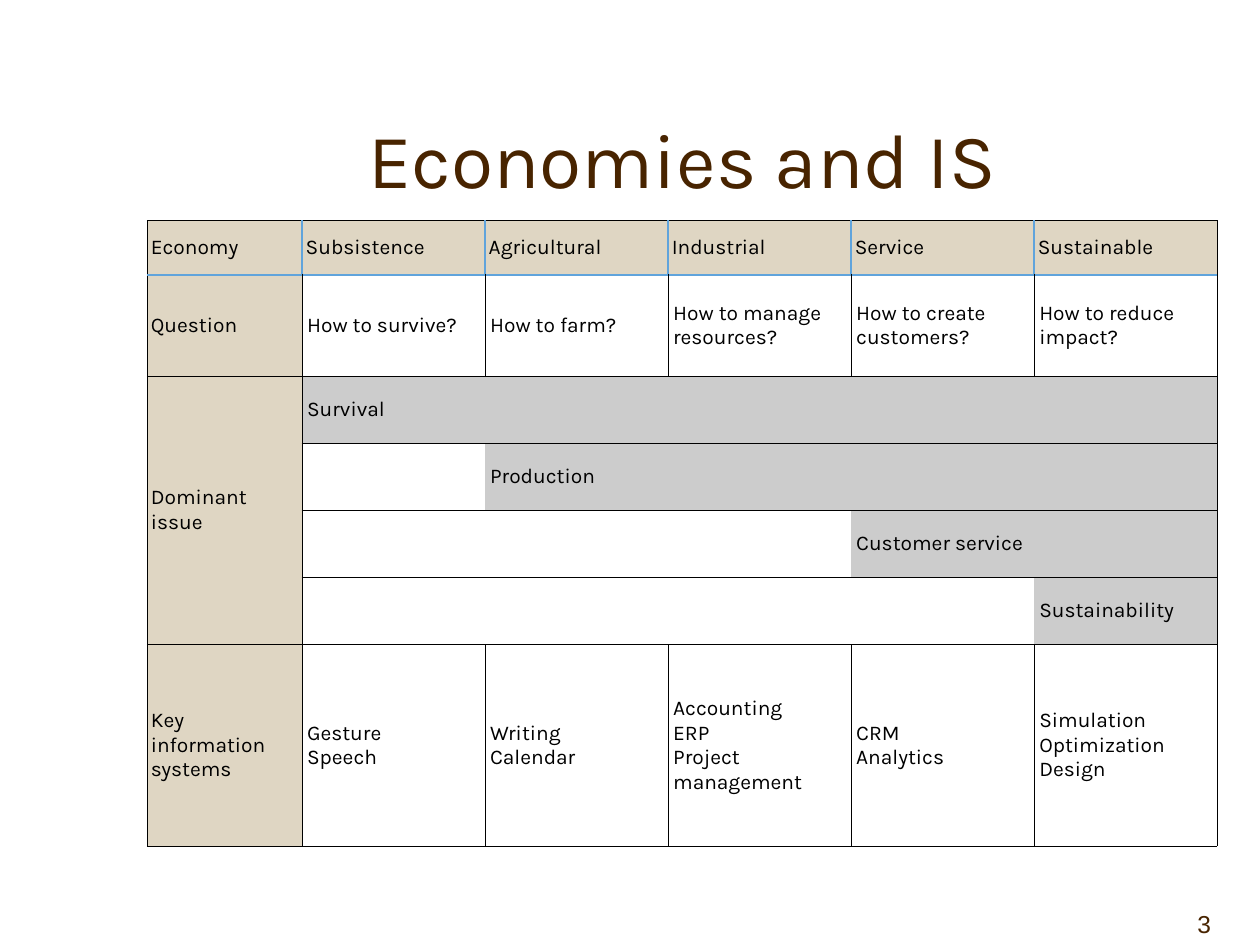
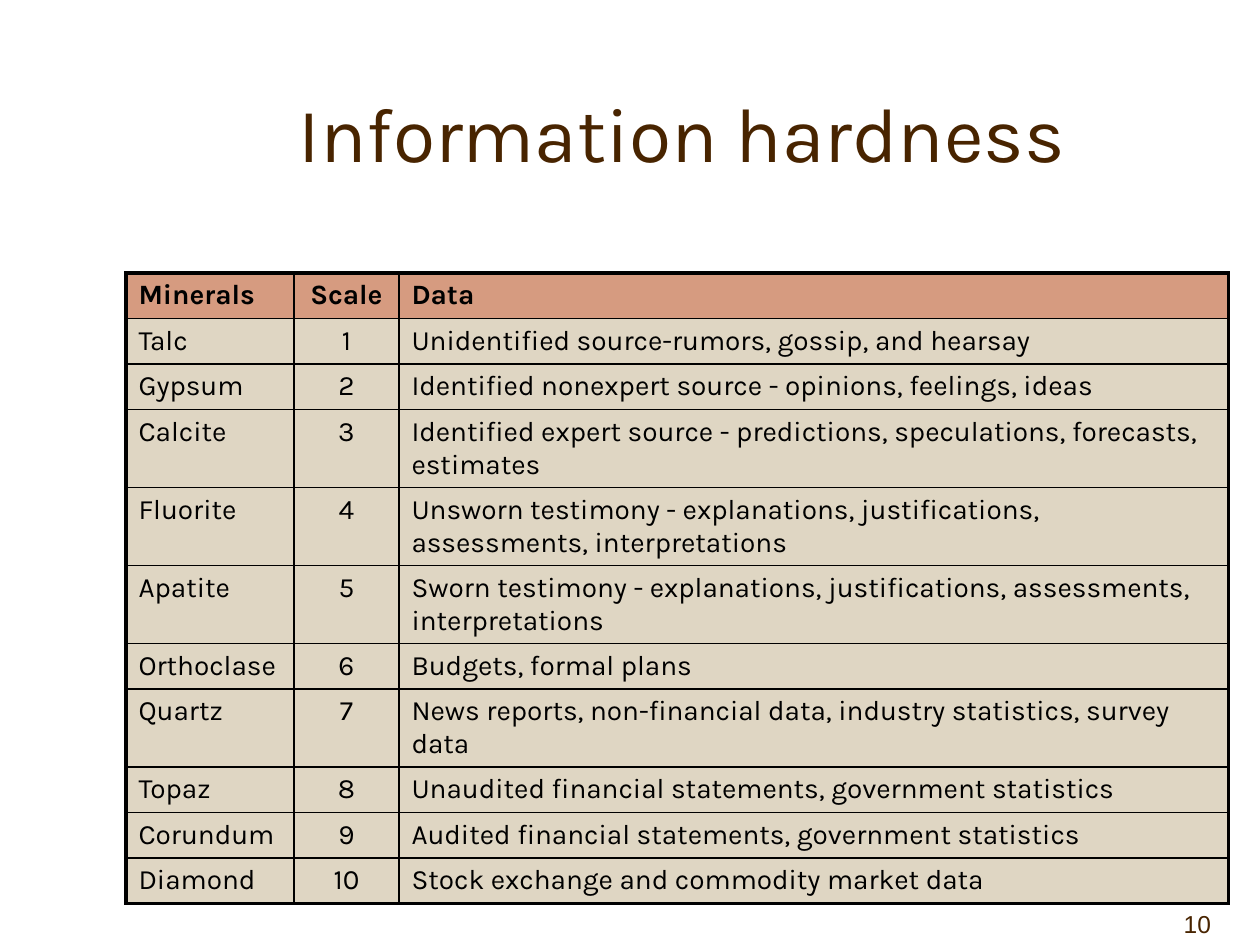
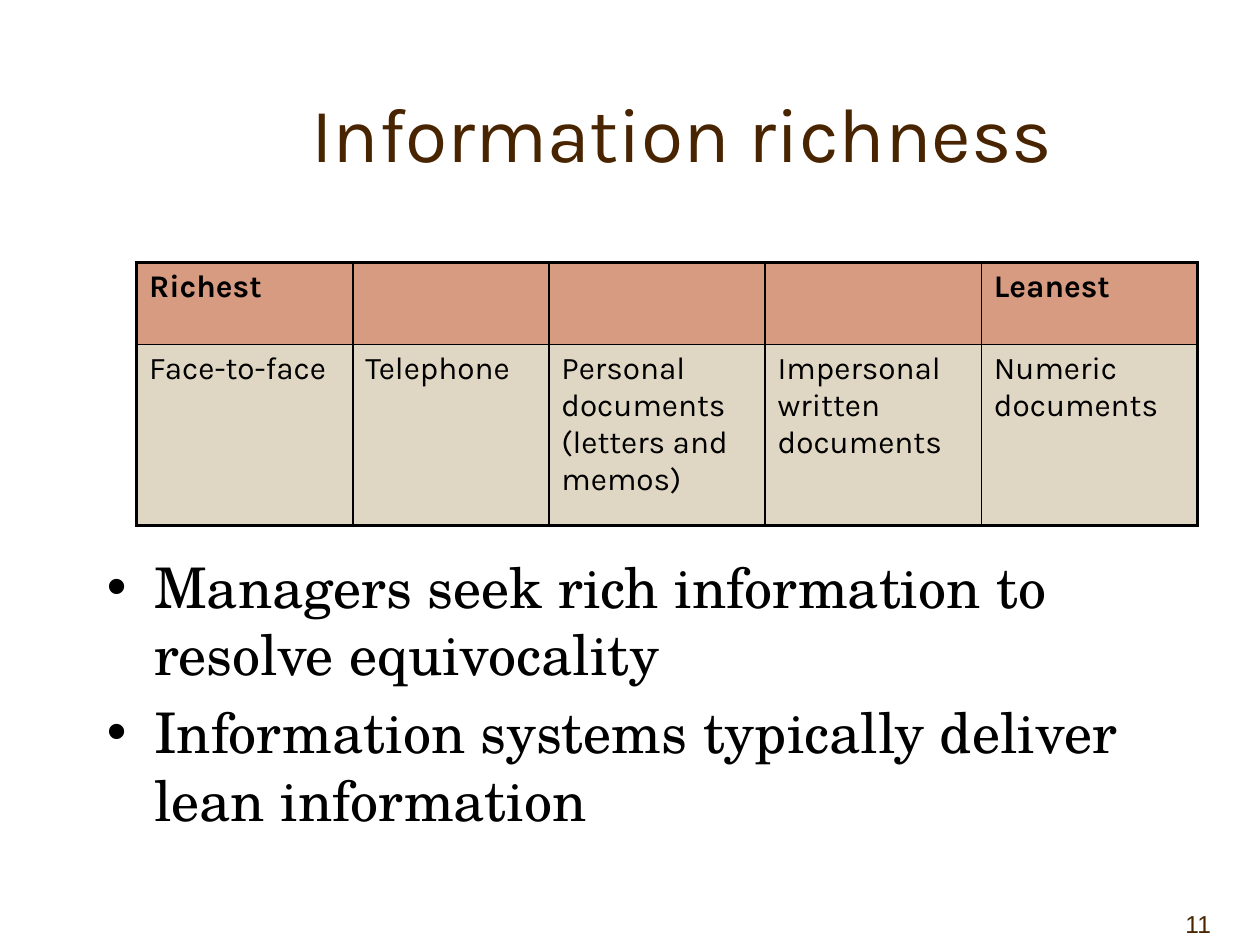
import pptx
import pptx.dml.color
import pptx.enum.text
import pptx.oxml
import pptx.oxml.ns
import pptx.util

Pt = pptx.util.Pt
RGBColor = pptx.dml.color.RGBColor
ALIGN = pptx.enum.text.PP_ALIGN
ANCHOR = pptx.enum.text.MSO_ANCHOR

BROWN = RGBColor(0x48, 0x24, 0x00)
BLACK = RGBColor(0, 0, 0)
WHITE = RGBColor(255, 255, 255)
SAND = RGBColor(0xDF, 0xD6, 0xC3)
CLAY = RGBColor(0xD6, 0x9B, 0x80)
GREY = RGBColor(0xCC, 0xCC, 0xCC)
BLUE = RGBColor(0x60, 0xA4, 0xDC)

TABLE_FONT = "Karla"
BODY_FONT = "TeX Gyre Schola"
NUMBER_FONT = BULLET_FONT = "Arial"

# Borders are (colour, width in points)
HAIRLINE = (BLACK, 0.25)
THIN = (BLACK, 1)
THICK = (BLACK, 2.25)
BLUE_LINE = (BLUE, 1)

ECONOMIES = [
    ["Economy", "Subsistence", "Agricultural", "Industrial", "Service", "Sustainable"],
    ["Question", "How to survive?", "How to farm?", "How to manage resources?",
     "How to create customers?", "How to reduce impact?"],
    ["Dominant issue", "Survival", "", "", "", ""],
    ["", "", "Production", "", "", ""],
    ["", "", "", "", "Customer service", ""],
    ["", "", "", "", "", "Sustainability"],
    ["Key information systems", "Gesture\nSpeech", "Writing\nCalendar",
     "Accounting\nERP\nProject management", "CRM\nAnalytics",
     "Simulation\nOptimization\nDesign"],
]
ISSUE_STARTS = {2: 1, 3: 2, 4: 4, 5: 5}  # row: first column of its grey bar

HARDNESS = [
    ["Minerals", "Scale", "Data"],
    ["Talc", "1", "Unidentified source-rumors, gossip, and hearsay"],
    ["Gypsum", "2", "Identified nonexpert source - opinions, feelings, ideas"],
    ["Calcite", "3", "Identified expert source - predictions, speculations, forecasts, estimates"],
    ["Fluorite", "4",
     "Unsworn testimony - explanations, justifications, assessments, interpretations"],
    ["Apatite", "5",
     "Sworn testimony - explanations, justifications, assessments, interpretations"],
    ["Orthoclase", "6", "Budgets, formal plans"],
    ["Quartz", "7", "News reports, non-financial data, industry statistics, survey data"],
    ["Topaz", "8", "Unaudited financial statements, government statistics"],
    ["Corundum", "9", "Audited financial statements, government statistics"],
    ["Diamond", "10", "Stock exchange and commodity market data"],
]
TWO_LINE_MINERALS = {"Calcite", "Fluorite", "Apatite", "Quartz"}

RICHNESS = [
    ["Richest", "", "", "", "Leanest"],
    ["Face-to-face", "Telephone", "Personal documents (letters and memos)",
     "Impersonal written documents", "Numeric documents"],
]
RICHNESS_POINTS = [
    "Managers seek rich information to resolve equivocality",
    "Information systems typically deliver lean information",
]


def format_text(frame, font, size, color=BLACK, bold=False, align=ALIGN.LEFT):
    for para in frame.paragraphs:
        para.alignment = align
        for span in para.runs:
            span.font.name = font
            span.font.size = Pt(size)
            span.font.bold = bold
            span.font.color.rgb = color


def add_page(deck, title, number, anchor=ANCHOR.MIDDLE):
    """Add a slide with its title and slide number."""
    page = deck.slides.add_slide(deck.slide_layouts[5])
    heading = page.shapes.title
    heading.left, heading.top, heading.width, heading.height = Pt(84), Pt(30), Pt(612), Pt(90)
    frame = heading.text_frame
    frame.text = title
    frame.auto_size = pptx.enum.text.MSO_AUTO_SIZE.NONE
    frame.vertical_anchor = anchor
    format_text(frame, TABLE_FONT, 44, BROWN, align=ALIGN.CENTER)

    frame = page.shapes.add_textbox(Pt(648), Pt(504), Pt(72), Pt(36)).text_frame
    frame.word_wrap = True
    frame.margin_right = Pt(28)
    frame.vertical_anchor = ANCHOR.BOTTOM
    frame.text = str(number)
    format_text(frame, NUMBER_FONT, 14, BROWN, align=ALIGN.RIGHT)
    return page


def add_grid(page, left, top, widths, heights):
    """Add a plain table with the given column widths and row heights."""
    frame = page.shapes.add_table(len(heights), len(widths), Pt(left), Pt(top),
                                  Pt(sum(widths)), Pt(sum(heights)))
    table = frame.table
    table.first_row = table.horz_banding = False
    for column, width in zip(table.columns, widths):
        column.width = Pt(width)
    for row, height in zip(table.rows, heights):
        row.height = Pt(height)
    return table


def fill_cell(cell, text, color, size, bold=False, align=ALIGN.LEFT):
    cell.text_frame.text = text
    format_text(cell.text_frame, TABLE_FONT, size, bold=bold, align=align)
    cell.fill.solid()
    cell.fill.fore_color.rgb = color


def set_borders(cell, left, right, top, bottom):
    """Draw the four edges of a cell; None hides an edge."""
    properties = cell._tc.get_or_add_tcPr()
    namespace = pptx.oxml.ns.nsdecls("a")
    for position, (side, border) in enumerate(zip("LRTB", (left, right, top, bottom))):
        if border:
            color, width = border
            paint = f'<a:solidFill><a:srgbClr val="{color}"/></a:solidFill>'
        else:
            width, paint = 0, "<a:noFill/>"
        line = pptx.oxml.parse_xml(
            f'<a:ln{side} {namespace} w="{int(Pt(width))}">{paint}</a:ln{side}>')
        properties.insert(position, line)


def add_economies_table(page):
    table = add_grid(page, 84, 126, [88.5] + [104.6] * 5, [31.2, 57.8] + [38.3] * 4 + [115.4])
    last = len(ECONOMIES[0]) - 1
    for r, row in enumerate(ECONOMIES):
        for c, text in enumerate(row):
            cell = table.cell(r, c)
            is_label = r == 0 or c == 0
            in_bar = c >= ISSUE_STARTS.get(r, last + 1)
            fill_cell(cell, text, SAND if is_label else GREY if in_bar else WHITE, 12)
            cell.vertical_anchor = ANCHOR.MIDDLE
            margin = Pt(2.2 if is_label else 3)
            cell.margin_left = cell.margin_right = margin
            cell.margin_top = cell.margin_bottom = margin

            if r == 0:
                inner = BLUE_LINE
            elif r in ISSUE_STARTS:
                inner = None
            else:
                inner = HAIRLINE
            beside_label = r > 0 and c <= 1
            # A merged bar takes its right edge from its first cell
            ends_right = c == last or in_bar or (r > 0 and c == 0)
            set_borders(cell,
                        HAIRLINE if c == 0 or beside_label else inner,
                        HAIRLINE if ends_right else inner,
                        BLUE_LINE if r == 1 else HAIRLINE,
                        BLUE_LINE if r == 0 else HAIRLINE)
    table.cell(2, 0).merge(table.cell(5, 0))
    for r, start in ISSUE_STARTS.items():
        if start < last:
            table.cell(r, start).merge(table.cell(r, last))


def add_framed_table(page, left, top, widths, heights, rows, size, centered=()):
    """Add a table with a clay header, sand body and thick outer frame."""
    table = add_grid(page, left, top, widths, heights)
    for r, row in enumerate(rows):
        for c, text in enumerate(row):
            cell = table.cell(r, c)
            fill_cell(cell, text, SAND if r else CLAY, size, bold=r == 0,
                      align=ALIGN.CENTER if c in centered else ALIGN.LEFT)
            cell.margin_bottom = Pt(1.5)  # keeps the text from stretching its row
            set_borders(cell,
                        THICK if c == 0 else THIN,
                        THICK if c == len(row) - 1 else THIN,
                        THICK if r == 0 else THIN,
                        THICK if r == len(rows) - 1 else THIN)


def add_bullets(page, points):
    frame = page.shapes.add_textbox(Pt(54), Pt(312), Pt(612), Pt(180)).text_frame
    frame.word_wrap = True
    frame.text = "\n".join(points)
    format_text(frame, BODY_FONT, 32)
    namespace = pptx.oxml.ns.nsdecls("a")
    for para in frame.paragraphs:
        para.space_before = Pt(6.4)
        properties = para._p.get_or_add_pPr()
        properties.set("marL", str(int(Pt(27))))
        properties.set("indent", str(int(Pt(-27))))
        for tag in (f'buFont {namespace} typeface="{BULLET_FONT}"',
                    f'buChar {namespace} char="•"'):
            properties.append(pptx.oxml.parse_xml(f"<a:{tag}/>"))


def main():
    deck = pptx.Presentation()
    deck.slide_width, deck.slide_height = Pt(720), Pt(540)

    page = add_page(deck, "Economies and IS", 3, ANCHOR.BOTTOM)
    add_economies_table(page)

    page = add_page(deck, "Information hardness", 10)
    heights = [44.6 if row[0] in TWO_LINE_MINERALS else 26 for row in HARDNESS]
    add_framed_table(page, 72, 156, [96, 60, 474], heights, HARDNESS, 16, centered=(1,))

    page = add_page(deck, "Information richness", 11)
    add_framed_table(page, 78, 150, [123.6, 112, 123.6, 123.6, 123.6], [46.8, 103.6],
                     RICHNESS, 18)
    add_bullets(page, RICHNESS_POINTS)

    deck.save("out.pptx")


if __name__ == "__main__":
    main()
